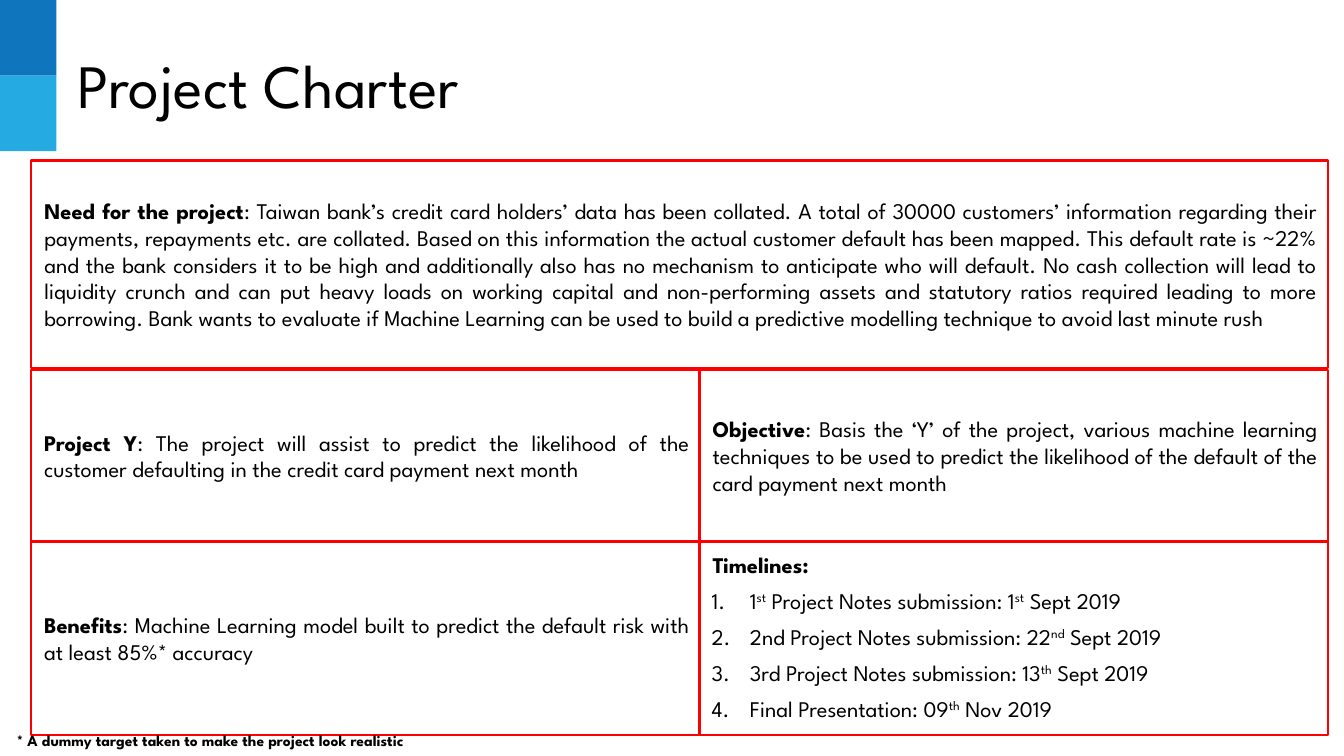
import lxml.etree
import pptx
import pptx.dml.color
import pptx.enum.shapes
import pptx.enum.text
import pptx.oxml.ns
import pptx.util

Inches, Pt = pptx.util.Inches, pptx.util.Pt
RGB = pptx.dml.color.RGBColor.from_string
ALIGN, ANCHOR = pptx.enum.text.PP_ALIGN, pptx.enum.text.MSO_ANCHOR
RECTANGLE = pptx.enum.shapes.MSO_SHAPE.RECTANGLE
FONT = "League Spartan"
COLORS = {"dark blue": "0F75BD", "light blue": "25AAE2", "border": "FF0000",
          "paper": "FFFFFF", "text": "000000"}


def prepare_frame(frame, anchor=ANCHOR.MIDDLE):
    """Wrap the text, give it even insets and return its first paragraph."""
    frame.word_wrap = True
    frame.auto_size = pptx.enum.text.MSO_AUTO_SIZE.NONE
    frame.vertical_anchor = anchor
    frame.margin_left = frame.margin_right = Inches(0.1)
    frame.margin_top = frame.margin_bottom = Inches(0.1)
    return frame.paragraphs[0]


def write(paragraph, label, text, size=16, numbered=False):
    """Write a bold label and plain text, where ^...^ marks a superscript."""
    properties = paragraph._p.get_or_add_pPr()
    properties.set("marL", str(Inches(0.4 if numbered else 0.03)))
    properties.set("indent", str(Inches(-0.38 if numbered else 0)))
    bullet = lxml.etree.SubElement(
        properties, pptx.oxml.ns.qn("a:buAutoNum" if numbered else "a:buNone"))
    if numbered:
        bullet.set("type", "arabicPeriod")
    paragraph.alignment = ALIGN.JUSTIFY
    paragraph.space_before = Pt(6.4)
    paragraph.font.name = FONT
    paragraph.font.size = Pt(size)
    paragraph.font.color.rgb = RGB(COLORS["text"])
    if label:
        run = paragraph.add_run()
        run.text = label
        run.font.bold = True
    for index, piece in enumerate(text.split("^")):
        if piece:
            run = paragraph.add_run()
            run.text = piece
            run.font.bold = False
            if index % 2:
                run.font._element.set("baseline", "30000")


deck = pptx.Presentation()
deck.slide_width, deck.slide_height = Inches(13.33), Inches(7.5)
slide = deck.slides.add_slide(deck.slide_layouts[1])
title, need = slide.placeholders

# Corner blocks
for row, shade in enumerate(("dark blue", "light blue")):
    block = slide.shapes.add_shape(
        RECTANGLE, 0, Inches(0.75 * row), Inches(0.56), Inches(0.75))
    block.shadow.inherit = False
    block.fill.solid()
    block.fill.fore_color.rgb = RGB(COLORS[shade])
    block.line.fill.background()

# Title
title.left, title.top = Inches(0.67), Inches(0.3)
title.width, title.height = Inches(12), Inches(1.07)
heading = prepare_frame(title.text_frame)
heading.text = "Project Charter"
heading.alignment = ALIGN.LEFT
heading.font.name = FONT
heading.font.size = Pt(44)
heading.font.color.rgb = RGB(COLORS["text"])

# Charter grid: one wide box above two rows of two
LEFT, MIDDLE, RIGHT = 0.31, 6.94, 13.17
need.left, need.top = Inches(LEFT), Inches(1.59)
need.width, need.height = Inches(RIGHT - LEFT), Inches(2.06)
need.fill.solid()
need.fill.fore_color.rgb = RGB(COLORS["paper"])
need.line.color.rgb = RGB(COLORS["border"])
need.line.width = Pt(1.75)
write(prepare_frame(need.text_frame), "Need for the project",
      ": Taiwan bank’s credit card holders’ data has been collated. A total of 30000 "
      "customers’ information regarding their payments, repayments etc. are collated. "
      "Based on this information the actual customer default has been mapped. This "
      "default rate is ~22% and the bank considers it to be high and additionally also "
      "has no mechanism to anticipate who will default. No cash collection will lead to "
      "liquidity crunch and can put heavy loads on working capital and non-performing "
      "assets and statutory ratios required leading to more borrowing. Bank wants to "
      "evaluate if Machine Learning can be used to build a predictive modelling "
      "technique to avoid last minute rush")

columns = ((LEFT, MIDDLE), (MIDDLE, RIGHT))
rows = ((3.67, 5.37), (5.37, 7.29))
charter = (
    (("Project Y", ": The project will assist to predict the likelihood of the customer "
      "defaulting in the credit card payment next month"),
     ("Objective", ": Basis the ‘Y’ of the project, various machine learning techniques "
      "to be used to predict the likelihood of the default of the card payment next month")),
    (("Benefits", ": Machine Learning model built to predict the default risk with at "
      "least 85%* accuracy"),
     ("Timelines:", "")),
)
milestones = (
    "1^st^ Project Notes submission: 1^st^ Sept 2019",
    "2nd Project Notes submission: 22^nd^ Sept 2019",
    "3rd Project Notes submission: 13^th^ Sept 2019",
    "Final Presentation: 09^th^ Nov 2019",
)
for (top, bottom), entries in zip(rows, charter):
    for (left, right), (label, text) in zip(columns, entries):
        box = slide.shapes.add_shape(RECTANGLE, Inches(left), Inches(top),
                                     Inches(right - left), Inches(bottom - top))
        box.shadow.inherit = False
        box.fill.background()
        box.line.color.rgb = RGB(COLORS["border"])
        box.line.width = Pt(1.75)
        anchor = ANCHOR.MIDDLE if text else ANCHOR.TOP
        write(prepare_frame(box.text_frame, anchor), label, text)

# The last box holds the timelines
for milestone in milestones:
    write(box.text_frame.add_paragraph(), "", milestone, numbered=True)

footnote = slide.shapes.add_textbox(Inches(0.04), Inches(7.18), Inches(11.71), Inches(0.34))
write(prepare_frame(footnote.text_frame),
      "* A dummy target taken to make the project look realistic", "", size=11)

deck.save("out.pptx")
